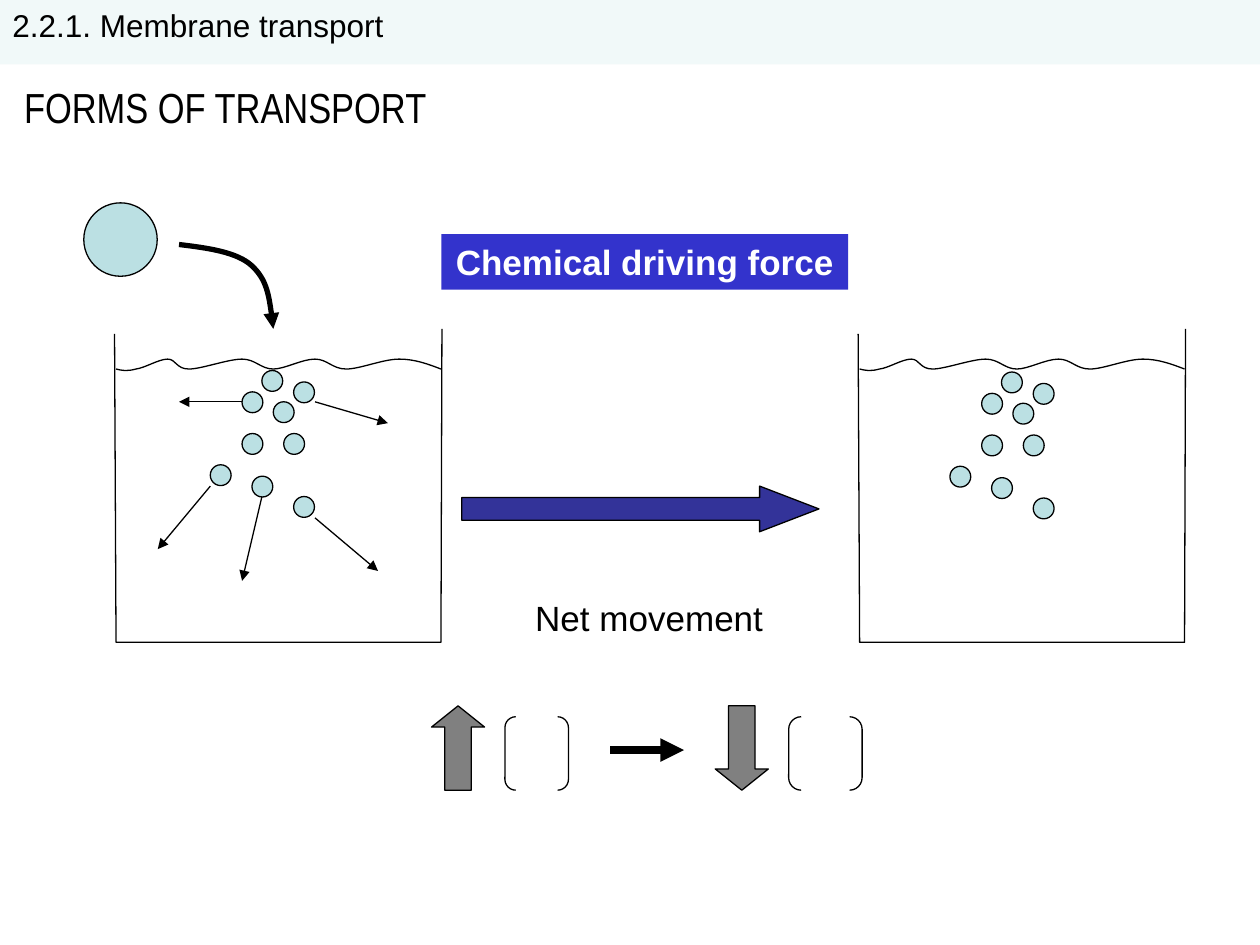
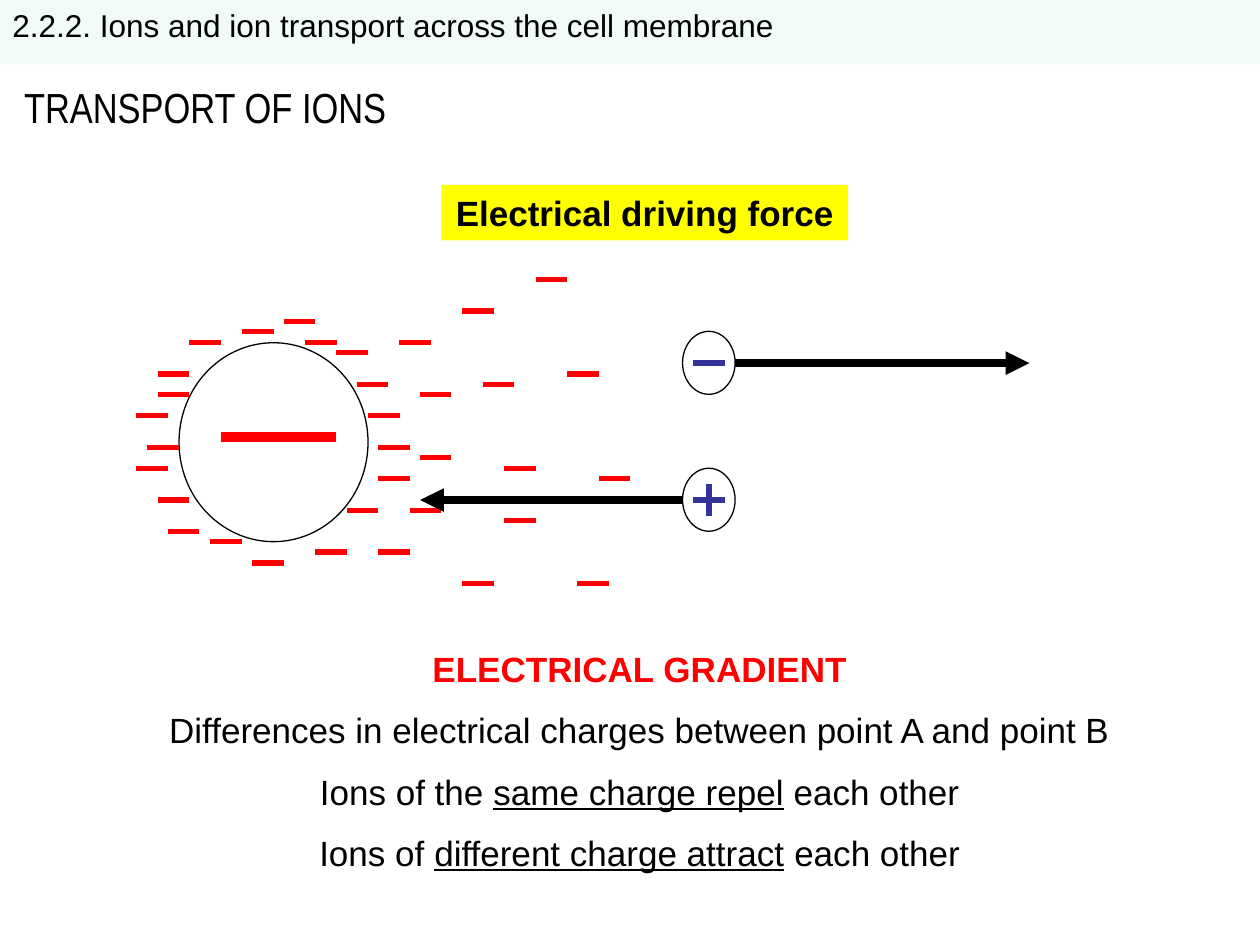
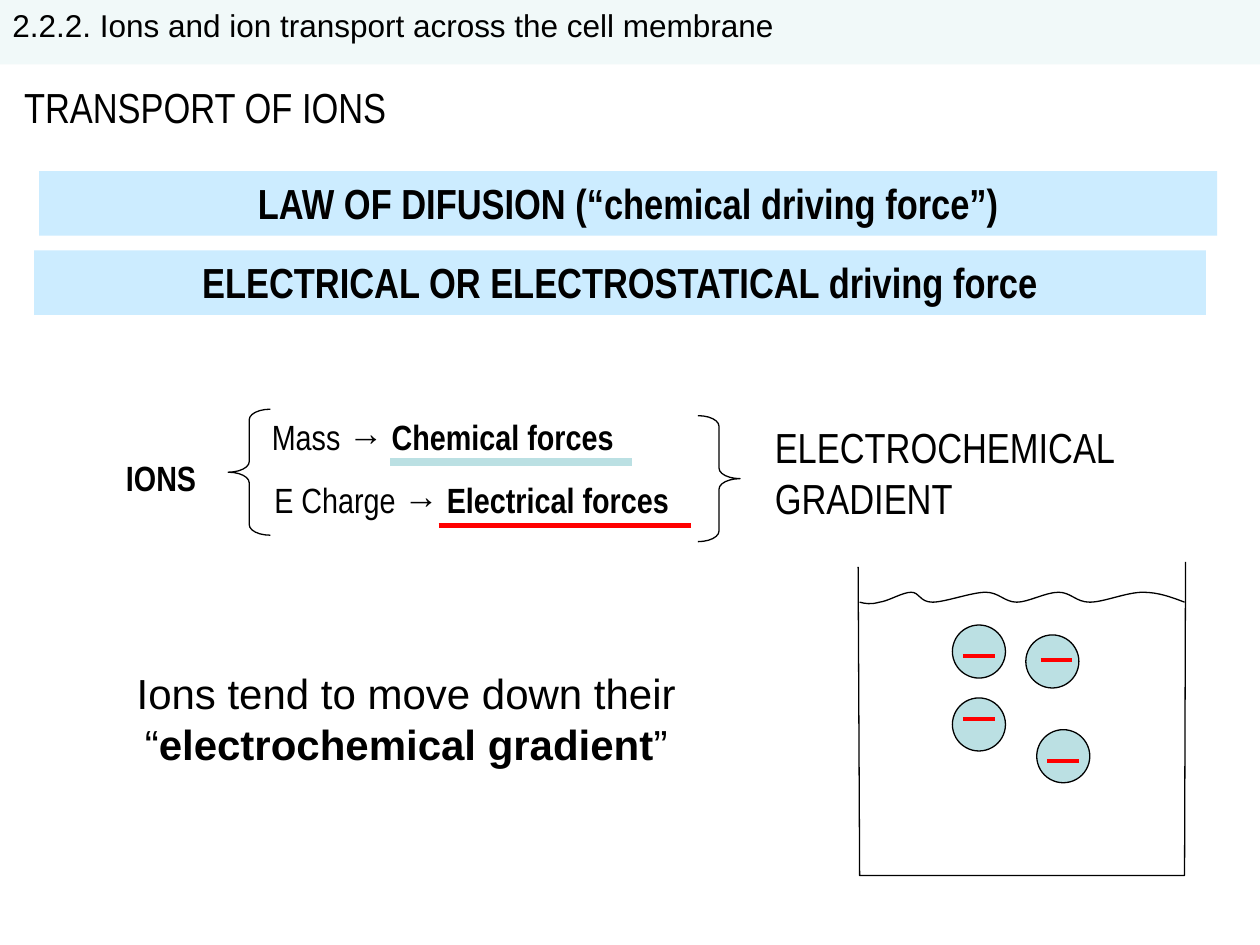
from dataclasses import dataclass

from lxml import etree
from pptx import Presentation
from pptx import util as u
from pptx.dml.color import RGBColor
from pptx.enum import shapes, text
from pptx.oxml.ns import qn

BLACK = RGBColor(0x00, 0x00, 0x00)
WHITE = RGBColor(0xFF, 0xFF, 0xFF)
RED = RGBColor(0xFF, 0x00, 0x00)
YELLOW = RGBColor(0xFF, 0xFF, 0x00)
GREY = RGBColor(0x80, 0x80, 0x80)
AQUA = RGBColor(0xBB, 0xE0, 0xE3)
INDIGO = RGBColor(0x33, 0x33, 0x99)
BLUE = RGBColor(0x33, 0x33, 0xCC)
PALE_BLUE = RGBColor(0xCC, 0xEC, 0xFF)
BAND_TINT = RGBColor(0xF1, 0xF9, 0xF9)

ARIAL = "Arial"
NARROW = "Arial Narrow"
LEFT = text.PP_ALIGN.LEFT
CENTER = text.PP_ALIGN.CENTER
KIND = shapes.MSO_SHAPE
SLIDE_WIDTH, SLIDE_HEIGHT = 25.4, 19.05
THIN = 0.75

Point = tuple[float, float]


@dataclass(frozen=True)
class Box:
    left: float
    top: float
    width: float
    height: float

    def lengths(self) -> list[u.Length]:
        return [u.Cm(value) for value in (self.left, self.top, self.width, self.height)]


@dataclass(frozen=True)
class Run:
    words: str
    bold: bool = False
    underline: bool = False
    color: RGBColor = BLACK


@dataclass(frozen=True)
class TextStyle:
    size: float
    font: str = ARIAL
    align: text.PP_ALIGN = LEFT


@dataclass(frozen=True)
class Line:
    start: Point
    end: Point
    color: RGBColor = BLACK
    weight: float = THIN
    arrow: bool = False


BAND_STYLE = TextStyle(18)
TITLE_STYLE = TextStyle(24, NARROW)
LABEL_STYLE = TextStyle(20, ARIAL, CENTER)
ION_STYLE = TextStyle(20, NARROW)

TANK_WALLS = [(0, 0.1), (0.03, 6.32), (6.58, 6.32), (6.6, 0)]
TANK_WAVE = [
    (0.03, 0.81),
    (0.15, 0.84), (0.25, 0.86), (0.43, 0.81),
    (0.61, 0.79), (0.89, 0.61), (1.07, 0.61),
    (1.24, 0.61), (1.24, 0.81), (1.5, 0.81),
    (1.75, 0.81), (2.29, 0.61), (2.57, 0.61),
    (2.84, 0.61), (2.95, 0.81), (3.2, 0.81),
    (3.43, 0.81), (3.78, 0.61), (4.04, 0.61),
    (4.29, 0.61), (4.39, 0.81), (4.67, 0.81),
    (4.95, 0.81), (5.41, 0.61), (5.74, 0.61),
    (6.05, 0.61), (6.32, 0.71), (6.58, 0.81),
]
POURING_CURVE = [
    (3.61, 4.93),
    (4.19, 5), (4.78, 5.08), (5.08, 5.36),
    (5.38, 5.64), (5.46, 6.15), (5.51, 6.63),
]
PARTICLES = [
    (4.88, 7.9), (4.88, 8.74), (5.92, 7.7), (5.72, 8.74), (5.92, 10.01),
    (5.08, 9.6), (4.24, 9.37), (5.28, 7.47), (5.51, 8.1),
]
PARTICLE_SIZE = 0.42
SPREAD_ARROWS = [
    ((6.35, 10.44), (7.62, 11.51)),
    ((5.28, 10.01), (4.88, 11.71)),
    ((4.24, 9.8), (3.18, 11.07)),
    ((6.35, 8.1), (7.82, 8.53)),
    ((4.88, 8.1), (3.61, 8.1)),
]
CHARGES = [
    (3.81, 6.91), (4.88, 6.68), (7.62, 9.02), (7.42, 8.38), (3.18, 7.95),
    (7.19, 7.75), (6.78, 7.11), (6.15, 6.91), (5.72, 6.48), (2.97, 9.02),
    (3.18, 7.54), (5.08, 11.35), (7.62, 9.65), (6.99, 10.29), (6.35, 11.13),
    (2.74, 8.38), (2.74, 9.45), (3.18, 10.08), (3.38, 10.72), (4.24, 10.92),
    (8.05, 6.91), (8.46, 7.95), (7.62, 11.13), (8.46, 9.22), (8.26, 10.29),
    (9.32, 6.27), (9.73, 7.75), (10.16, 9.45), (10.16, 10.49), (9.32, 11.76),
    (10.8, 5.64), (11.43, 7.54), (12.07, 9.65), (11.63, 11.76),
]
CHARGE_LENGTH = 0.64
IONS = [(19.2, 12.6), (19.2, 14.07), (20.68, 12.8), (20.9, 14.71)]
ION_SIZE = 1.07
ION_CHARGES = [(20.98, 13.31), (21.11, 15.34), (19.41, 14.5), (19.41, 13.23)]


def write(frame, paragraphs: list[list[Run]], style: TextStyle, gap: float = 0, wrap: bool = True) -> None:
    frame.auto_size = text.MSO_AUTO_SIZE.NONE
    frame.word_wrap = wrap
    frame.vertical_anchor = text.MSO_ANCHOR.TOP
    for index, runs in enumerate(paragraphs):
        paragraph = frame.add_paragraph() if index else frame.paragraphs[0]
        paragraph.alignment = style.align
        if index and gap:
            paragraph.space_before = u.Pt(gap)
        for item in runs:
            run = paragraph.add_run()
            run.text = item.words
            run.font.name = style.font
            run.font.size = u.Pt(style.size)
            run.font.bold = item.bold
            run.font.underline = item.underline
            run.font.color.rgb = item.color


def add_text(slide, box: Box, paragraphs: list[list[Run]], style: TextStyle, gap: float = 0) -> None:
    shape = slide.shapes.add_textbox(*box.lengths())
    write(shape.text_frame, paragraphs, style, gap)


def add_outlined(slide, kind: KIND, box: Box, fill: RGBColor | None = None, adjustments: tuple[float, ...] = ()) -> None:
    shape = slide.shapes.add_shape(kind, *box.lengths())
    for index, value in enumerate(adjustments):
        shape.adjustments[index] = value
    format_shape(shape, fill, THIN)


def add_label(slide, box: Box, run: Run, fill: RGBColor, style: TextStyle = LABEL_STYLE) -> None:
    shape = slide.shapes.add_shape(KIND.RECTANGLE, *box.lengths())
    format_shape(shape, fill)
    write(shape.text_frame, [[run]], style)


def format_shape(shape, fill: RGBColor | None, weight: float = 0) -> None:
    shape.shadow.inherit = False
    if fill is None:
        shape.fill.background()
    else:
        shape.fill.solid()
        shape.fill.fore_color.rgb = fill
    if weight:
        format_line(shape, BLACK, weight)
    else:
        shape.line.fill.background()


def format_line(shape, color: RGBColor, weight: float, arrow: bool = False) -> None:
    shape.line.color.rgb = color
    shape.line.width = u.Pt(weight)
    if arrow:
        outline = shape.element.spPr.find(qn("a:ln"))
        etree.SubElement(outline, qn("a:tailEnd"), type="triangle")


def add_line(slide, line: Line) -> None:
    ends = [u.Cm(value) for value in (*line.start, *line.end)]
    connector = slide.shapes.add_connector(shapes.MSO_CONNECTOR.STRAIGHT, *ends)
    format_line(connector, line.color, line.weight, line.arrow)
    etree.SubElement(connector.element.spPr, qn("a:effectLst"))


def add_outline(slide, points: list[Point], weight: float = THIN, curved: bool = False, arrow: bool = False) -> None:
    first, *others = [(u.Cm(x), u.Cm(y)) for x, y in points]
    builder = slide.shapes.build_freeform(*first)
    builder.add_line_segments(others, close=False)
    shape = builder.convert_to_shape()
    if curved:
        segments = list(shape.element.iter(qn("a:lnTo")))
        for index in range(0, len(segments), 3):
            curve = etree.Element(qn("a:cubicBezTo"))
            segments[index].addprevious(curve)
            for segment in segments[index:index + 3]:
                curve.append(segment[0])
                segment.getparent().remove(segment)
    format_shape(shape, None, weight)
    if arrow:
        format_line(shape, BLACK, weight, arrow)


def add_tank(slide, left: float, top: float) -> None:
    for points, curved in ((TANK_WALLS, False), (TANK_WAVE, True)):
        add_outline(slide, [(left + x, top + y) for x, y in points], curved=curved)


def add_circles(slide, corners: list[Point], size: float, offset: Point = (0, 0)) -> None:
    for x, y in corners:
        add_outlined(slide, KIND.OVAL, Box(x + offset[0], y + offset[1], size, size), AQUA)


def add_charges(slide, starts: list[Point], weight: float, color: RGBColor = RED) -> None:
    for x, y in starts:
        add_line(slide, Line((x, y), (x + CHARGE_LENGTH, y), color, weight))


def add_topic_slide(presentation, section: str, title: str):
    slide = presentation.slides.add_slide(presentation.slide_layouts[5])
    placeholder = slide.shapes.title
    placeholder.left, placeholder.top, placeholder.width, placeholder.height = Box(0.23, 1.52, 8.7, 1.27).lengths()
    write(placeholder.text_frame, [[Run(title)]], TITLE_STYLE, wrap=False)
    add_label(slide, Box(0, 0, SLIDE_WIDTH, 1.3), Run(section), BAND_TINT, BAND_STYLE)
    return slide


def build_chemical_force(presentation) -> None:
    slide = add_topic_slide(presentation, "2.2.1. Membrane transport", "FORMS OF TRANSPORT")
    add_label(slide, Box(8.9, 4.72, 8.2, 1.12), Run("Chemical driving force", True, color=WHITE), BLUE)
    for left in (2.31, 17.3):
        add_tank(slide, left, 6.63)
    for offset in ((0, 0), (14.91, 0.03)):
        add_circles(slide, PARTICLES, PARTICLE_SIZE, offset)
    add_circles(slide, [(1.69, 4.09)], 1.48)
    add_outline(slide, POURING_CURVE, 3, curved=True, arrow=True)
    for start, end in SPREAD_ARROWS:
        add_line(slide, Line(start, end, arrow=True))

    add_outlined(slide, KIND.RIGHT_ARROW, Box(9.31, 9.8, 7.2, 0.92), INDIGO, (0.5, 1.3))
    add_text(slide, Box(10.11, 11.91, 6.15, 1.12), [[Run("Net movement ")]], LABEL_STYLE)
    for kind, left, bracket_left, bracket_width in (
        (KIND.UP_ARROW, 8.7, 10.18, 1.28),
        (KIND.DOWN_ARROW, 14.42, 15.9, 1.48),
    ):
        add_outlined(slide, kind, Box(left, 14.23, 1.07, 1.7), GREY, (0.5, 0.4))
        add_outlined(slide, KIND.DOUBLE_BRACKET, Box(bracket_left, 14.45, bracket_width, 1.48), adjustments=(0.17,))
    add_line(slide, Line((12.3, 15.12), (13.79, 15.12), weight=4.5, arrow=True))


def build_electrical_force(presentation) -> None:
    slide = add_topic_slide(
        presentation, "2.2.2. Ions and ion transport across the cell membrane", "TRANSPORT OF IONS"
    )
    add_label(slide, Box(8.9, 3.73, 8.2, 1.12), Run("Electrical driving force", True), YELLOW)
    add_outlined(slide, KIND.OVAL, Box(3.61, 6.91, 3.81, 4.01))
    add_line(slide, Line((4.45, 8.81), (6.78, 8.81), RED, 6))
    add_charges(slide, CHARGES, 3)

    negative_y, positive_y = 7.32, 10.08
    for y in (negative_y, positive_y):
        add_charges(slide, [(13.97, y)], 3, INDIGO)
        add_outlined(slide, KIND.OVAL, Box(13.76, y - 0.64, 1.06, 1.27))
    add_line(slide, Line((14.29, positive_y - 0.32), (14.29, positive_y + 0.32), INDIGO, 3))
    add_line(slide, Line((14.82, negative_y), (20.75, negative_y), weight=4.5, arrow=True))
    add_line(slide, Line((13.76, positive_y), (8.47, positive_y), weight=4.5, arrow=True))

    add_text(slide, Box(1.3, 12.93, 23.19, 4.95), [
        [Run("ELECTRICAL GRADIENT", True, color=RED)],
        [Run("Differences in electrical charges between point A and point B")],
        [Run("Ions of the "), Run("same charge repel", underline=True), Run(" each other")],
        [Run("Ions of "), Run("different charge attract", underline=True), Run(" each other")],
    ], LABEL_STYLE, gap=11)


def build_electrochemical_gradient(presentation) -> None:
    slide = add_topic_slide(
        presentation, "2.2.2. Ions and ion transport across the cell membrane", "TRANSPORT OF IONS"
    )
    force_style = TextStyle(24, NARROW, CENTER)
    for box, words in (
        (Box(0.79, 3.45, 23.75, 1.3), "LAW OF DIFUSION (“chemical driving force”)"),
        (Box(0.69, 5.05, 23.62, 1.3), "ELECTRICAL OR ELECTROSTATICAL driving force"),
    ):
        add_label(slide, box, Run(words, True), PALE_BLUE, force_style)

    add_text(slide, Box(2.29, 9.07, 2.54, 1.09), [[Run("IONS", True)]], ION_STYLE)
    for kind, left, top in ((KIND.LEFT_BRACE, 4.6, 8.25), (KIND.RIGHT_BRACE, 14.07, 8.38)):
        add_outlined(slide, kind, Box(left, top, 0.85, 2.54), adjustments=(0.25, 0.5))
    for box, cause, force in (
        (Box(5.23, 8.25, 9.73, 1.09), "Mass → ", "Chemical forces"),
        (Box(5.28, 9.53, 9.96, 1.12), "E Charge → ", "Electrical forces"),
    ):
        add_text(slide, box, [[Run(cause), Run(force, True)]], ION_STYLE)
    add_line(slide, Line((7.87, 9.32), (12.75, 9.32), AQUA, 4.5))
    add_line(slide, Line((8.84, 10.59), (13.92, 10.59), RED, 3))
    add_text(slide, Box(15.37, 8.38, 9.73, 2.31), [[Run("ELECTROCHEMICAL GRADIENT")]], TITLE_STYLE)

    add_tank(slide, 17.3, 11.33)
    add_circles(slide, IONS, ION_SIZE)
    add_charges(slide, ION_CHARGES, 2.25)
    add_text(slide, Box(1.09, 13.34, 14.2, 2.31), [[
        Run("Ions tend to move down their “"), Run("electrochemical gradient", True), Run("”"),
    ]], TextStyle(24, ARIAL, CENTER))


def main() -> None:
    presentation = Presentation()
    presentation.slide_width = u.Cm(SLIDE_WIDTH)
    presentation.slide_height = u.Cm(SLIDE_HEIGHT)
    build_chemical_force(presentation)
    build_electrical_force(presentation)
    build_electrochemical_gradient(presentation)
    presentation.save("out.pptx")


if __name__ == "__main__":
    main()
